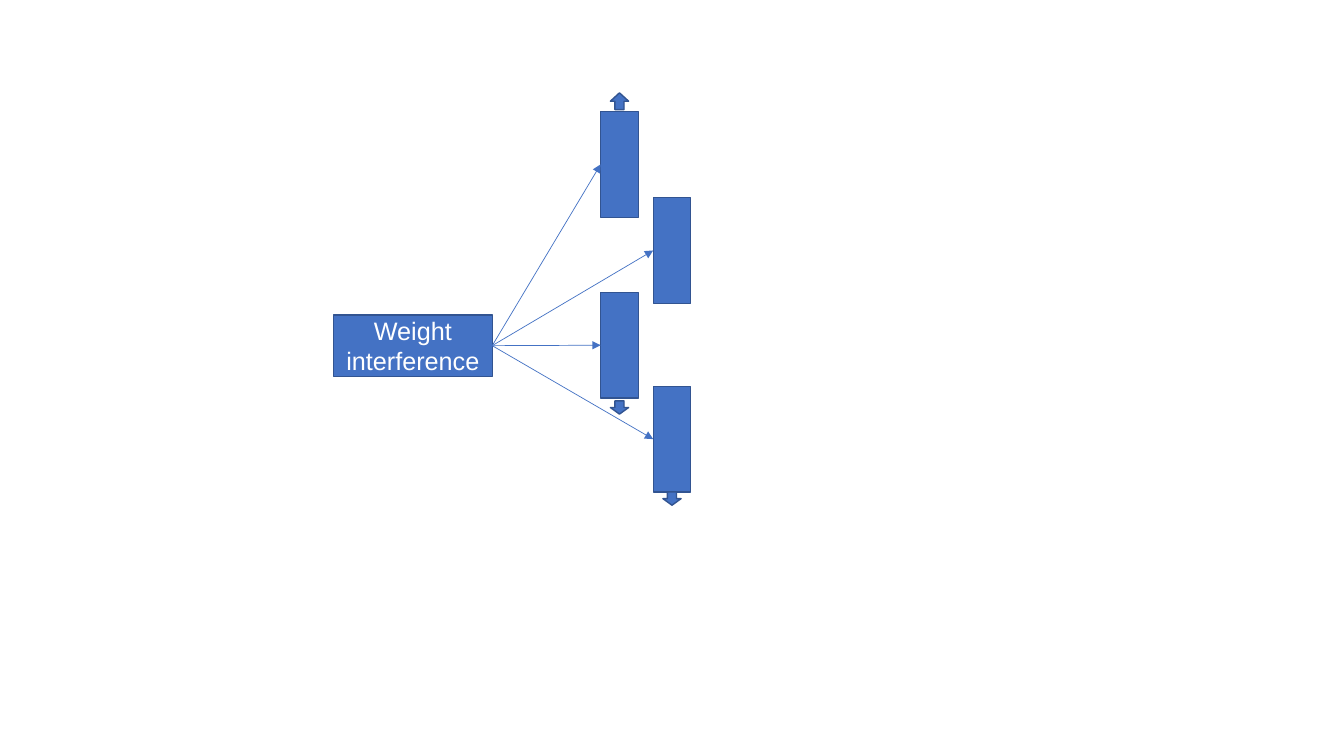
from pptx import Presentation
from pptx.dml.color import RGBColor
from pptx.enum.shapes import MSO_CONNECTOR as CONN, MSO_SHAPE as SHAPE
from pptx.enum.text import MSO_ANCHOR as ANCHOR, PP_ALIGN as ALIGN
from pptx.oxml.ns import qn
from pptx.util import Pt
from lxml import etree

THEME = {
    "fill": RGBColor.from_string("4472C4"),
    "edge": RGBColor.from_string("325491"),
    "text": RGBColor.from_string("FFFFFF"),
    "font": "Arial",
    "size": Pt(18),
    "edge_width": Pt(1),
    "link_width": Pt(0.5),
}


def add_block(slide, kind, left, top, width, height):
    """Add a filled, outlined shape at a place given in points."""
    sp = slide.shapes.add_shape(kind, Pt(left), Pt(top), Pt(width), Pt(height))
    sp.shadow.inherit = False
    sp.fill.solid()
    sp.fill.fore_color.rgb = THEME["fill"]
    sp.line.color.rgb = THEME["edge"]
    sp.line.width = THEME["edge_width"]
    return sp


def add_link(slide, source, target):
    """Add an arrow from the right side of source to the left side of target."""
    cxn = slide.shapes.add_connector(CONN.STRAIGHT, 0, 0, 0, 0)
    cxn.begin_connect(source, 3)
    cxn.end_connect(target, 1)
    cxn.line.color.rgb = THEME["fill"]
    cxn.line.width = THEME["link_width"]
    etree.SubElement(cxn.line._get_or_add_ln(), qn("a:tailEnd"), type="triangle")
    etree.SubElement(cxn._element.spPr, qn("a:effectLst"))


prs = Presentation()
prs.slide_width, prs.slide_height = Pt(960), Pt(540)
slide = prs.slides.add_slide(prs.slide_layouts[6])

# Staggered bars in two columns
BAR_W, BAR_H = 26.8, 75.6
COLUMNS = (429.1, 466.6)
BAR_TOPS = (79.6, 141.1, 208.8, 275.9)
bars = [add_block(slide, SHAPE.RECTANGLE, COLUMNS[i % 2], top, BAR_W, BAR_H)
        for i, top in enumerate(BAR_TOPS)]

# Block arrows centred on their bars: kind, bar index, top, height
ARROW_W = 13
for kind, i, top, height in (
    (SHAPE.UP_ARROW, 0, 66.3, 12),
    (SHAPE.DOWN_ARROW, 2, 286.4, 9.4),
    (SHAPE.DOWN_ARROW, 3, 351.5, 9.4),
):
    left = COLUMNS[i % 2] + (BAR_W - ARROW_W) / 2
    add_block(slide, kind, left, top, ARROW_W, height)

# Label box
label = add_block(slide, SHAPE.RECTANGLE, 238.2, 225, 113.4, 43.8)
tf = label.text_frame
tf.word_wrap = True
tf.vertical_anchor = ANCHOR.MIDDLE
p = tf.paragraphs[0]
p.alignment = ALIGN.CENTER
r = p.add_run()
r.text = "Weight interference"
for name, value in {"name": THEME["font"], "size": THEME["size"]}.items():
    setattr(r.font, name, value)
r.font.color.rgb = THEME["text"]

for bar in bars:
    add_link(slide, label, bar)

prs.save("out.pptx")
